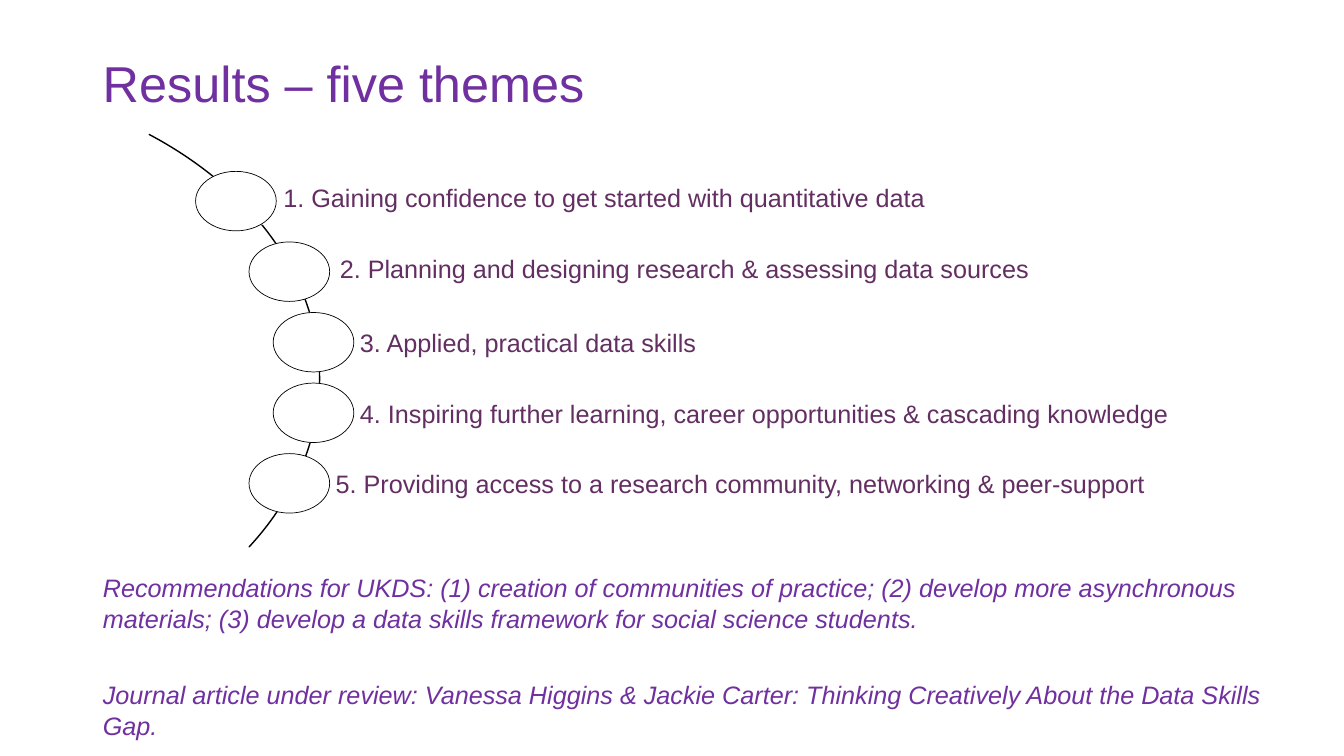
from dataclasses import dataclass

from pptx import Presentation
from pptx.dml.color import RGBColor
from pptx.enum.shapes import MSO_SHAPE as Preset
from pptx.enum.text import MSO_ANCHOR as Anchor, PP_ALIGN as Align
from pptx.shapes.autoshape import Shape
from pptx.slide import Slide
from pptx.text.text import _Paragraph as Paragraph
from pptx.util import Inches, Pt

PURPLE = "7030A0"
PLUM = "632E62"
WHITE = "FFFFFF"
BLACK = "000000"
FIRST_CIRCLE_TOP = 1.7
THEME_STEP = 0.7


@dataclass
class Theme:
    text: str
    circle_left: float
    label_left: float
    label_width: float
    label_height: float = 0.47
    inset_left: float = 0.46
    inset_top: float = 0.1


THEMES = [
    Theme("1. Gaining confidence to get started with quantitative data",
          1.94, 2.44, 9.39, inset_left=0.37, inset_top=0.03),
    Theme("2. Planning and designing research & assessing data sources",
          2.47, 2.93, 8.86, inset_left=0.44, inset_top=0.03),
    Theme("3. Applied, practical data skills", 2.71, 3.11, 8.62),
    Theme("4. Inspiring further learning, career opportunities & cascading knowledge",
          2.71, 3.11, 8.62, label_height=0.49),
    Theme("5. Providing access to a research community, networking & peer-support",
          2.47, 2.87, 8.86),
]
CLOSING_NOTES = [
    "Recommendations for UKDS: (1) creation of communities of practice; "
    "(2) develop more asynchronous materials; (3) develop a data skills "
    "framework for social science students.",
    "Journal article under review: Vanessa Higgins & Jackie Carter: "
    "Thinking Creatively About the Data Skills Gap.",
]


def color(value: str) -> RGBColor:
    return RGBColor.from_string(value)


def write(paragraph: Paragraph, text: str, size: float, text_color: str) -> None:
    paragraph.text = text
    paragraph.alignment = Align.LEFT
    paragraph.font.name = "Arial"
    paragraph.font.size = Pt(size)
    paragraph.font.color.rgb = color(text_color)


def add_preset(slide: Slide, preset: Preset, left: float, top: float, width: float,
               height: float, fill: str | None = WHITE, line_width: float = 0) -> Shape:
    shape = slide.shapes.add_shape(
        preset, Inches(left), Inches(top), Inches(width), Inches(height))
    shape.shadow.inherit = False
    if fill:
        shape.fill.solid()
        shape.fill.fore_color.rgb = color(fill)
    else:
        shape.fill.background()
    if line_width:
        shape.line.color.rgb = color(BLACK)
        shape.line.width = Pt(line_width)
    else:
        shape.line.fill.background()
    return shape


def add_text_box(slide: Slide, left: float, top: float, width: float, height: float) -> Shape:
    box = slide.shapes.add_textbox(Inches(left), Inches(top), Inches(width), Inches(height))
    box.text_frame.word_wrap = True
    return box


def add_title(slide: Slide) -> None:
    frame = add_text_box(slide, 0.92, 0.56, 10.91, 0.6).text_frame
    frame.vertical_anchor = Anchor.MIDDLE
    write(frame.paragraphs[0], "Results – five themes", 36, PURPLE)
    frame.paragraphs[0].line_spacing = 0.9


def add_arc(slide: Slide) -> None:
    arc = add_preset(slide, Preset.BLOCK_ARC, -5.05, 0.76, 8.22, 5.99, None, 1)
    for index, value in enumerate((189, 15.658, 0)):
        arc.adjustments[index] = value


def add_theme(slide: Slide, theme: Theme, circle_top: float) -> None:
    label = add_preset(slide, Preset.RECTANGLE, theme.label_left, circle_top + 0.06,
                       theme.label_width, theme.label_height)
    frame = label.text_frame
    frame.word_wrap = True
    frame.vertical_anchor = Anchor.MIDDLE
    frame.margin_left = Inches(theme.inset_left)
    frame.margin_top = Inches(theme.inset_top)
    frame.margin_right = frame.margin_bottom = Inches(0.06)
    write(frame.paragraphs[0], theme.text, 18, PLUM)
    frame.paragraphs[0].line_spacing = 0.9
    add_preset(slide, Preset.OVAL, theme.circle_left, circle_top, 0.8, 0.59, line_width=0.5)


def add_closing_notes(slide: Slide) -> None:
    frame = add_text_box(slide, 0.75, 5.61, 12.45, 1.85).text_frame
    frame.margin_left = Inches(0.27)
    for index, note in enumerate(CLOSING_NOTES):
        paragraph = frame.add_paragraph() if index else frame.paragraphs[0]
        write(paragraph, note, 18, PURPLE)
        paragraph.font.italic = True
        paragraph.line_spacing = 1.05
        if index:
            paragraph.space_before = Pt(31)


def main() -> None:
    presentation = Presentation()
    presentation.slide_width = Inches(13.33)
    presentation.slide_height = Inches(7.5)
    slide = presentation.slides.add_slide(presentation.slide_layouts[6])
    add_title(slide)
    add_arc(slide)
    for index, theme in enumerate(THEMES):
        add_theme(slide, theme, FIRST_CIRCLE_TOP + index * THEME_STEP)
    add_closing_notes(slide)
    presentation.save("out.pptx")


if __name__ == "__main__":
    main()
